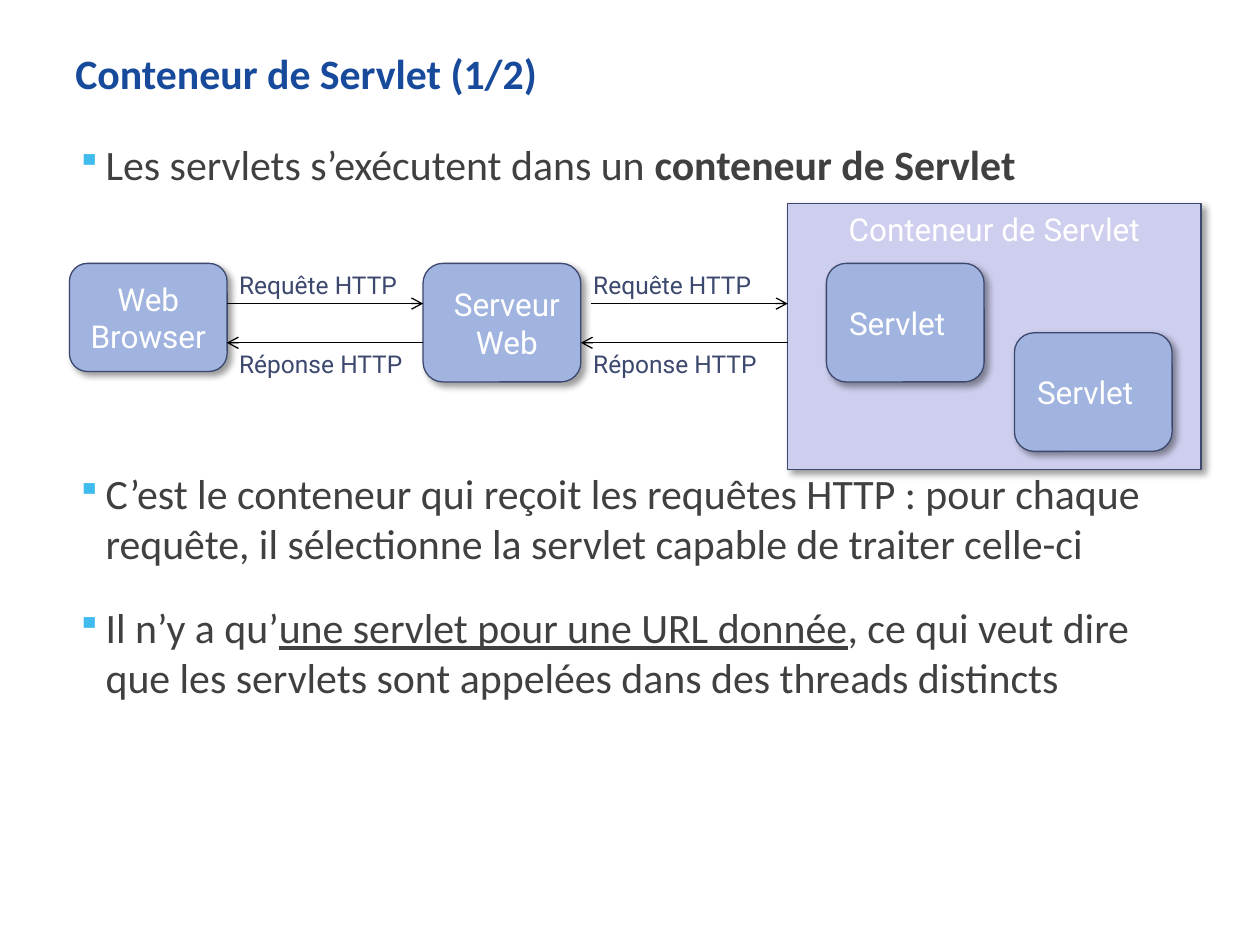
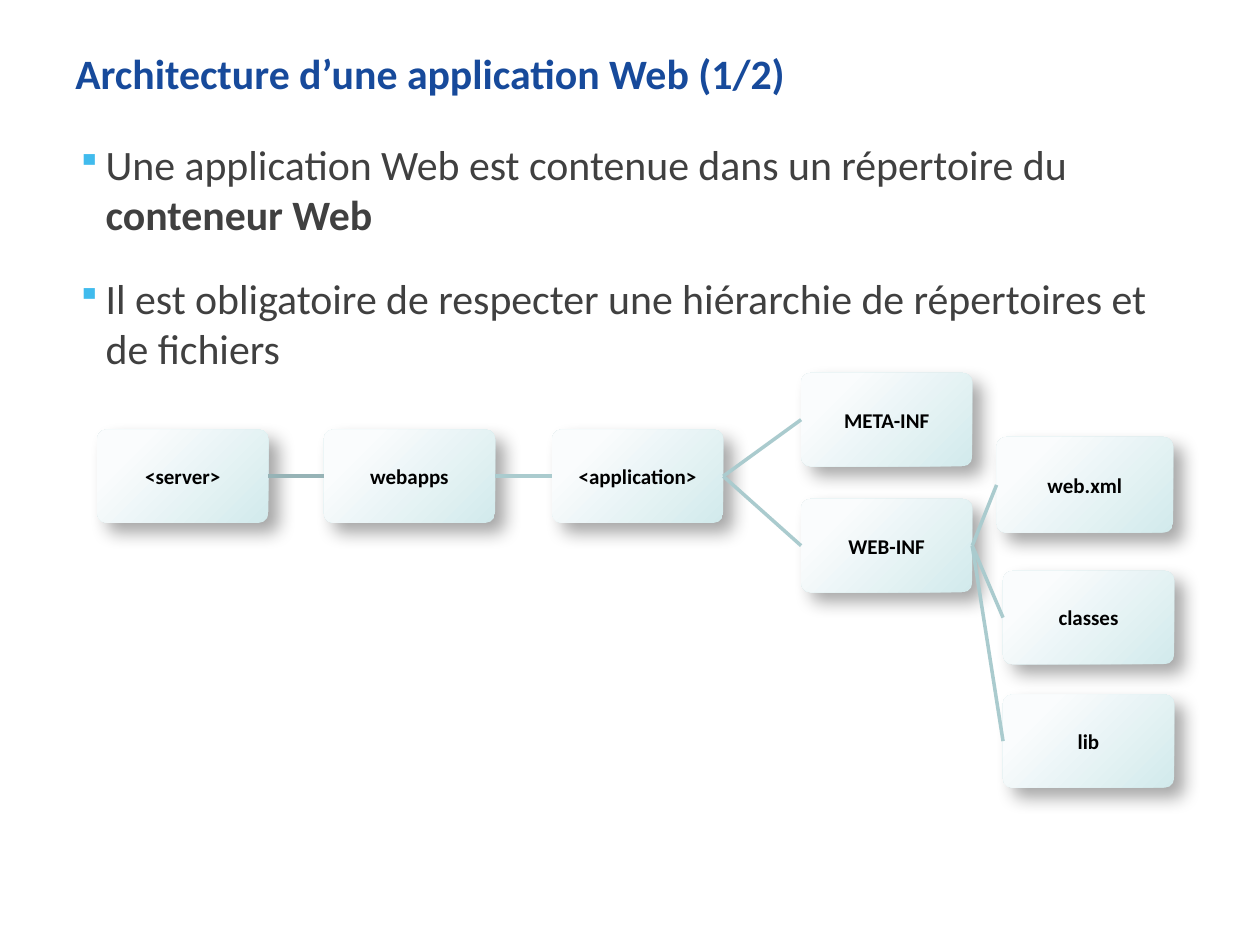
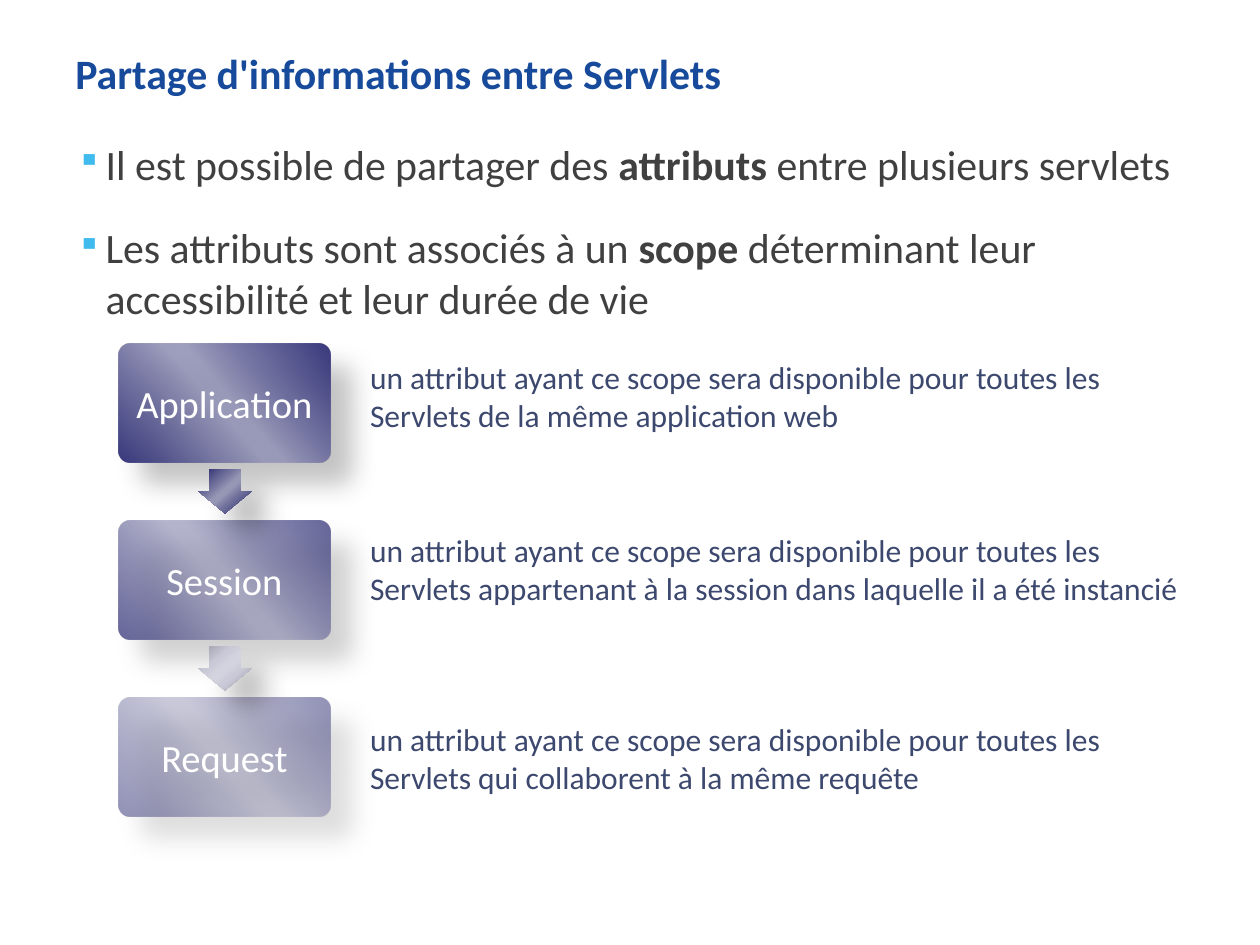
import pptx
import pptx.dml.color
import pptx.enum.shapes
import pptx.enum.text
import pptx.oxml
import pptx.oxml.ns
import pptx.util

Cm = pptx.util.Cm
Pt = pptx.util.Pt
qn = pptx.oxml.ns.qn
MSO_SHAPE = pptx.enum.shapes.MSO_SHAPE
ANCHOR = pptx.enum.text.MSO_ANCHOR
ALIGN = pptx.enum.text.PP_ALIGN

WHITE = "FFFFFF"
NAVY = "3C486E"
BLUE = "A1B4DF"
SOFT_SHADOW = (40, 4, 3)
TREE_SHADOW = (35, 10.2, 8)
SCOPE_SHADOW = (26, 15, 18)
TREE_PATH = ('<a:path path="circle"><a:fillToRect l="-15000" t="-15000" '
             'r="115000" b="115000"/></a:path>')
DIAGONAL = f'<a:lin ang="{139 * 60000}" scaled="0"/>'
BAND_STOPS = (0, 33, 47, 53, 68, 100)


def rgb(value):
    return pptx.dml.color.RGBColor.from_string(value)


def xml(tag, attrs="", body=""):
    ns = pptx.oxml.ns.nsdecls("a")
    return pptx.oxml.parse_xml(f"<a:{tag} {ns} {attrs}>{body}</a:{tag}>")


class Deck:
    font = "Calibri"
    title_color = "174A9B"
    body_color = "404040"
    bullet_color = "40BBED"
    size = 23.9

    def __init__(self):
        self.prs = pptx.Presentation()
        self.prs.slide_width = Cm(25.4)
        self.prs.slide_height = Cm(19.05)
        self.s = None

    def slide(self, title):
        self.s = self.prs.slides.add_slide(self.prs.slide_layouts[6])
        self.text(1.24, 0.81, 22.89, 1.63, title, self.size, self.title_color,
                  style="b", pad=(0.28, 0.15))

    def run(self, p, text, size, color, font=None, style=""):
        for i, part in enumerate(text.split("\n")):
            if i:
                p.add_line_break()
            r = p.add_run()
            r.text = part
            r.font.name = font or self.font
            r.font.size = Pt(size)
            r.font.color.rgb = rgb(color)
            r.font.bold = "b" in style
            r.font.underline = "u" in style

    def frame(self, x, y, w, h, pad):
        tf = self.s.shapes.add_textbox(Cm(x), Cm(y), Cm(w), Cm(h)).text_frame
        tf.word_wrap = True
        tf.margin_left = tf.margin_right = Cm(pad[0])
        tf.margin_top = tf.margin_bottom = Cm(pad[1])
        return tf

    def text(self, x, y, w, h, text, size, color, font=None, style="",
             pad=(0.25, 0.13)):
        tf = self.frame(x, y, w, h, pad)
        self.run(tf.paragraphs[0], text, size, color, font, style)

    def bullets(self, *items, gaps=(0, 14.4, 14.4)):
        tf = self.frame(1.27, 2.64, 22.86, 13.79, (0.28, 0.15))
        for i, (runs, gap) in enumerate(zip(items, gaps)):
            p = tf.add_paragraph() if i else tf.paragraphs[0]
            p.space_before = Pt(gap)
            p.space_after = Pt(4.8)
            pPr = p._p.get_or_add_pPr()
            pPr.set("marL", str(Cm(0.58)))
            pPr.set("indent", str(-Cm(0.58)))
            pPr.append(xml("buClr", "", f'<a:srgbClr val="{self.bullet_color}"/>'))
            pPr.append(xml("buSzPct", 'val="80000"'))
            pPr.append(xml("buChar", 'char="▪"'))
            for text, style in runs:
                self.run(p, text, self.size, self.body_color, style=style)

    def shape(self, kind, x, y, w, h, adjust, shadow, fill=None, line=None):
        sp = self.s.shapes.add_shape(kind, Cm(x), Cm(y), Cm(w), Cm(h))
        for i, value in enumerate(adjust):
            sp.adjustments[i] = value
        if fill:
            sp.fill.solid()
            sp.fill.fore_color.rgb = rgb(fill)
        if line:
            sp.line.color.rgb = rgb(line)
            sp.line.width = Pt(0.75)
        else:
            sp.line.fill.background()
        sp.shadow.inherit = False
        alpha, blur, dist = shadow
        sp._element.spPr.find(qn("a:effectLst")).append(xml(
            "outerShdw",
            f'blurRad="{Pt(blur)}" dist="{Pt(dist)}" dir="2700000" '
            'algn="tl" rotWithShape="0"',
            f'<a:srgbClr val="000000"><a:alpha val="{alpha * 1000}"/></a:srgbClr>'))
        return sp

    def gradient(self, sp, stops, direction, alpha=100):
        gs = "".join(
            f'<a:gs pos="{pos * 1000}"><a:srgbClr val="{color}">'
            f'<a:alpha val="{alpha * 1000}"/></a:srgbClr></a:gs>'
            for pos, color in stops)
        sp._element.spPr.find(qn("a:prstGeom")).addnext(xml(
            "gradFill", 'rotWithShape="1"', f"<a:gsLst>{gs}</a:gsLst>{direction}"))

    def caption(self, sp, text, size, color, font=None, style="",
                pad=(0.03, 0.03), align=ALIGN.CENTER, anchor=ANCHOR.MIDDLE):
        tf = sp.text_frame
        tf.word_wrap = True
        tf.margin_left, tf.margin_right = (Cm(m) for m in pad)
        tf.vertical_anchor = anchor
        p = tf.paragraphs[0]
        p.alignment = align
        self.run(p, text, size, color, font, style)

    def box(self, x, y, h, text, pad=(0.34, 0.14), align=ALIGN.CENTER):
        sp = self.shape(MSO_SHAPE.ROUNDED_RECTANGLE, x, y, 3.18, h, (),
                        SOFT_SHADOW, BLUE, NAVY)
        self.caption(sp, text, 18, WHITE, "Roboto", pad=pad, align=align)

    def node(self, x, y, text, w=3.45, h=1.88):
        sp = self.shape(MSO_SHAPE.ROUNDED_RECTANGLE, x, y, w, h, (0.1,),
                        TREE_SHADOW)
        self.gradient(sp, ((20, "FAFCFD"), (100, "D2EAEC")), TREE_PATH)
        self.caption(sp, text, 12, "000000", style="b")
        return sp

    def connector(self, x1, y1, x2, y2, color, width):
        c = self.s.shapes.add_connector(
            pptx.enum.shapes.MSO_CONNECTOR.STRAIGHT,
            Cm(x1), Cm(y1), Cm(x2), Cm(y2))
        c.line.color.rgb = rgb(color)
        c.line.width = Pt(width)
        c._element.spPr.append(xml("effectLst"))
        return c

    def arrow(self, x1, x2, y):
        c = self.connector(x1, y, x2, y, "000000", 0.75)
        c._element.spPr.find(qn("a:ln")).append(xml("tailEnd", 'type="arrow"'))

    def branch(self, parent, child, color="AACBCE"):
        c = self.connector(0, 0, 0, 0, color, 2)
        c.begin_connect(parent, 3)
        c.end_connect(child, 1)


def container_slide(d):
    d.slide("Conteneur de Servlet (1/2)")
    d.bullets(
        [("Les servlets s’exécutent dans un ", ""), ("conteneur de Servlet", "b")],
        [("C’est le conteneur qui reçoit les requêtes HTTP : pour chaque requête, "
          "il sélectionne la servlet capable de traiter celle-ci", "")],
        [("Il n’y a qu’", ""), ("une servlet pour une URL donnée", "u"),
         (", ce qui veut dire que les servlets sont appelées dans des threads "
          "distincts", "")],
        gaps=(0, 154.6, 14.4))
    container = d.shape(MSO_SHAPE.RECTANGLE, 15.88, 4.11, 8.33, 5.36, (),
                        SOFT_SHADOW, "CECEEF", NAVY)
    d.caption(container, "Conteneur de Servlet", 18, WHITE, "Roboto",
              anchor=ANCHOR.TOP)
    d.box(1.4, 5.31, 2.18, "Web\nBrowser", pad=(0.2, 0.2))
    d.box(8.53, 5.31, 2.39, "Serveur\nWeb")
    for x, y in ((16.66, 5.31), (20.45, 6.71)):
        d.box(x, y, 2.39, "Servlet", align=ALIGN.LEFT)
    for x1, x2, y in ((4.57, 8.53, 6.12), (11.91, 15.88, 6.12),
                      (15.88, 11.71, 6.91), (8.53, 4.57, 6.91)):
        d.arrow(x1, x2, y)
    for x in (4.57, 11.71):
        for y, label in ((5.31, "Requête HTTP"), (6.91, "Réponse HTTP")):
            d.text(x, y, 4.17, 0.86, label, 14, NAVY, "Roboto")


def architecture_slide(d):
    d.slide("Architecture d’une application Web (1/2)")
    d.bullets(
        [("Une application Web est contenue dans un répertoire du ", ""),
         ("conteneur Web", "b")],
        [("Il est obligatoire de respecter une hiérarchie de répertoires et de "
          "fichiers", "")])
    server = d.node(1.96, 8.66, "<server>")
    webapps = d.node(6.53, 8.66, "webapps")
    application = d.node(11.13, 8.66, "<application>")
    meta_inf = d.node(16.15, 7.52, "META-INF")
    web_inf = d.node(16.15, 10.06, "WEB-INF")
    classes = d.node(20.22, 11.51, "classes")
    lib = d.node(20.22, 14, "lib")
    web_xml = d.node(20.09, 8.81, "web.xml", 3.56, 1.93)
    d.branch(server, webapps, "96B3B6")
    d.branch(webapps, application)
    for child in (meta_inf, web_inf):
        d.branch(application, child)
    for child in (classes, lib, web_xml):
        d.branch(web_inf, child)


def scope_slide(d):
    d.slide("Partage d'informations entre Servlets")
    d.bullets(
        [("Il est possible de partager des ", ""), ("attributs", "b"),
         (" entre plusieurs servlets", "")],
        [("Les attributs sont associés à un ", ""), ("scope", "b"),
         (" déterminant leur accessibilité et leur durée de vie", "")])
    scopes = (
        ("Application", 90, 7.09, "de la même application web"),
        ("Session", 70, 10.57,
         "appartenant à la session dans laquelle il a été instancié"),
        ("Request", 50, 14.38, "qui collaborent à la même requête"))
    box_colors = ("24246F", "7070A1", "9696B8", "9696B8", "7272A1", "24246F")
    arrow_colors = (
        ("22226A", "70709C", "9696B5", "9696B5", "71719D", "22226A"),
        ("9898A6", "C9C9D7", "D3D3DF", "D3D3DF", "C9C9D7", "9898A6"))
    step = 3.57
    for i, (name, alpha, y, reach) in enumerate(scopes):
        d.text(7.21, y, 17.37, 1.8,
               "un attribut ayant ce scope sera disponible pour toutes les "
               f"Servlets {reach}", 18, NAVY)
        sp = d.shape(MSO_SHAPE.ROUNDED_RECTANGLE, 2.39, 6.93 + i * step,
                     4.27, 2.39, (0.1,), SCOPE_SHADOW)
        d.gradient(sp, zip(BAND_STOPS, box_colors), DIAGONAL, alpha)
        d.caption(sp, name, 22, WHITE)
    for i, colors in enumerate(arrow_colors):
        sp = d.shape(MSO_SHAPE.RIGHT_ARROW, 4.09, 9.37 + i * step,
                     0.89, 1.07, (0.6, 0.5), SCOPE_SHADOW)
        sp.rotation = 90
        d.gradient(sp, zip(BAND_STOPS, colors), DIAGONAL)


def main():
    d = Deck()
    container_slide(d)
    architecture_slide(d)
    scope_slide(d)
    d.prs.save("out.pptx")


if __name__ == "__main__":
    main()
